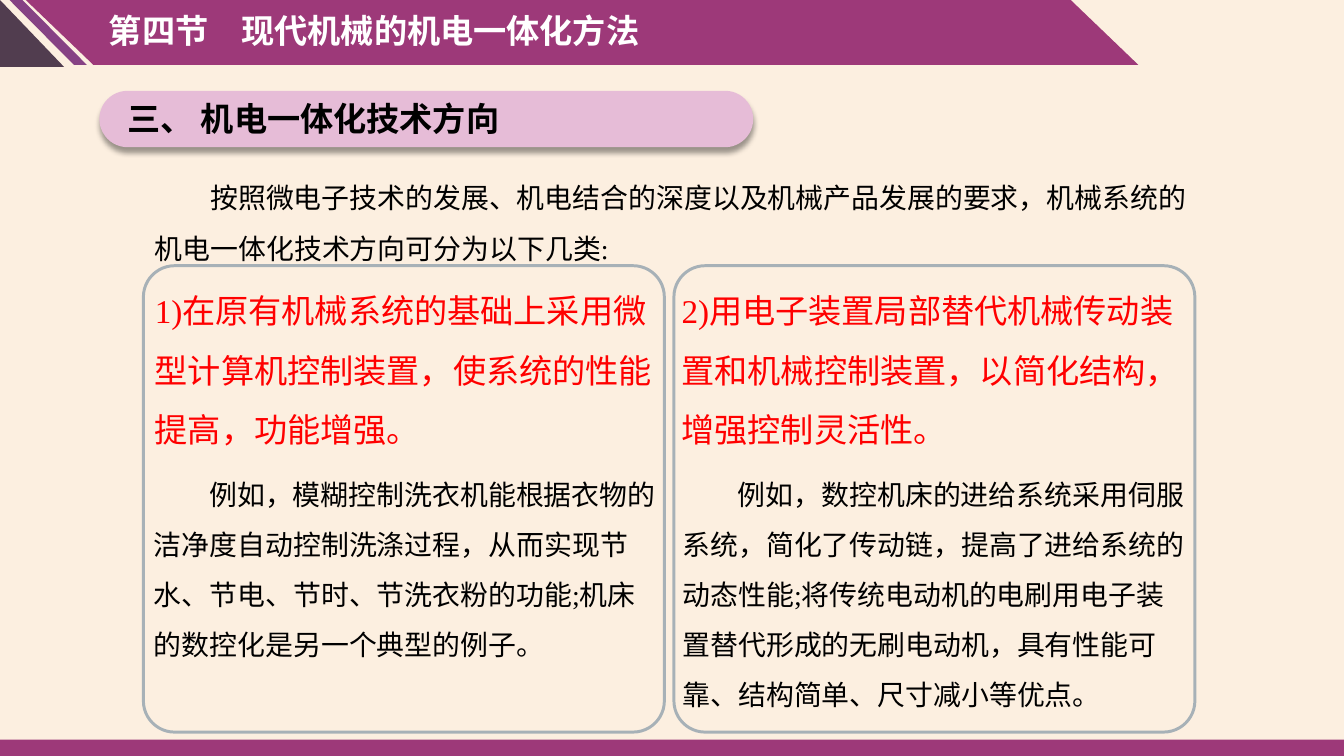
"""Builds the slide on directions of mechatronic technology."""
from lxml import etree
from pptx import Presentation
from pptx.dml.color import RGBColor
from pptx.enum.shapes import MSO_SHAPE
from pptx.oxml import parse_xml
from pptx.oxml.ns import nsdecls, qn
from pptx.util import Inches, Pt

ROUND = MSO_SHAPE.ROUNDED_RECTANGLE
SLANT = MSO_SHAPE.PARALLELOGRAM
CORNER = MSO_SHAPE.RIGHT_TRIANGLE
RECT = MSO_SHAPE.RECTANGLE

COLORS = {
    "cream": "FCEFE0", "pink": "E6BCD7", "magenta": "9D3979", "plum": "513D4F",
    "violet": "864284", "slate": "184972", "black": "000000", "white": "FFFFFF",
    "red": "FF0000",
}
SANS, SERIF = "Noto Sans CJK SC", "Times New Roman"
W, H = 14.06, 7.91
BAND_H = 0.68
LEFT, CARD_TOP, CARD_W, CARD_H, CARD_STEP = 1.5, 2.78, 5.45, 4.88, 5.55
EXAMPLE_TOP = 4.77

prs = Presentation()
prs.slide_width, prs.slide_height = Inches(W), Inches(H)
s = prs.slides.add_slide(prs.slide_layouts[6])
s.background.fill.solid()
s.background.fill.fore_color.rgb = RGBColor.from_string(COLORS["cream"])


def add_block(kind, x, y, w, h, color=None, adj=None, flip=False):
    sp = s.shapes.add_shape(kind, Inches(x), Inches(y), Inches(w), Inches(h))
    sp.shadow.inherit = False
    if color:
        sp.fill.solid()
        sp.fill.fore_color.rgb = RGBColor.from_string(COLORS[color])
        sp.line.fill.background()
    else:
        sp.fill.background()
    if adj is not None:
        sp.adjustments[0] = adj
    if flip:
        sp._element.spPr.find(qn("a:xfrm")).set("flipH", "1")
    return sp


def add_text(x, y, w, h, text, size, color, font=SERIF, bold=False, spacing=1.5, indent=0):
    tf = s.shapes.add_textbox(Inches(x), Inches(y), Inches(w), Inches(h)).text_frame
    tf.word_wrap = True
    tf.margin_left = tf.margin_right = Inches(0.11)
    p = tf.paragraphs[0]
    p.text = text
    p.line_spacing = spacing
    pPr = p._p.get_or_add_pPr()
    pPr.set("indent", str(Inches(indent)))
    pPr.set("hangingPunct", "0")
    p.font.name, p.font.size, p.font.bold = font, Pt(size), bold
    p.font.color.rgb = RGBColor.from_string(COLORS[color])


pill = add_block(ROUND, 1.04, 0.95, 6.84, 0.59, "pink", 0.5)
pill._element.spPr.find(qn("a:effectLst")).append(parse_xml(
    f'<a:outerShdw {nsdecls("a")} blurRad="{Pt(4)}" dist="{Pt(4)}" dir="5400000" '
    'algn="t" rotWithShape="0"><a:srgbClr val="000000"><a:alpha val="38000"/>'
    '</a:srgbClr></a:outerShdw>'))
add_text(1.22, 0.98, 7.14, 0.53, "三、 机电一体化技术方向", 25, "black", SANS, True, 1.0)

add_block(SLANT, 0.27, 0, 11.64, BAND_H, "magenta", 1.042, True)
add_text(1.03, 0.06, 8.71, 0.53, "第四节　现代机械的机电一体化方法", 25, "white", SANS, True, 1.0)
add_block(CORNER, 0, 0, 0.67, 0.7, "plum")
add_block(SLANT, 0.1, 0, 0.81, BAND_H, "violet", 0.992, True)
add_block(RECT, 0, 7.74, W, H - 7.74, "magenta")

add_text(1.51, 1.67, 11.02, 1.17,
         "按照微电子技术的发展、机电结合的深度以及机械产品发展的要求，"
         "机械系统的机电一体化技术方向可分为以下几类:", 21, "black", indent=0.58)

directions = [
    ("1)在原有机械系统的基础上采用微型计算机控制装置，使系统的性能提高，功能增强。",
     "例如，模糊控制洗衣机能根据衣物的洁净度自动控制洗涤过程，从而实现节水、节电、"
     "节时、节洗衣粉的功能;机床的数控化是另一个典型的例子。", 1.51, 1.5),
    ("2)用电子装置局部替代机械传动装置和机械控制装置，以简化结构，增强控制灵活性。",
     "例如，数控机床的进给系统采用伺服系统，简化了传动链，提高了进给系统的动态性能;"
     "将传统电动机的电刷用电子装置替代形成的无刷电动机，具有性能可靠、结构简单、"
     "尺寸减小等优点。", 7.02, 7.03),
]
for i, (claim, example, claim_x, example_x) in enumerate(directions):
    add_text(claim_x, CARD_TOP, 5.52, 2, claim, 25, "red")
    add_text(example_x, EXAMPLE_TOP, 5.52, 2.76, example, 21, "black", indent=0.58)
    card = add_block(ROUND, LEFT + i * CARD_STEP, CARD_TOP, CARD_W, CARD_H, adj=0.067)
    card.line.width = Pt(2.25)
    card.line.color.rgb = RGBColor.from_string(COLORS["slate"])
    rgb = card.line._ln.find(".//" + qn("a:srgbClr"))
    etree.SubElement(rgb, qn("a:alpha")).set("val", "36000")

prs.save("out.pptx")
